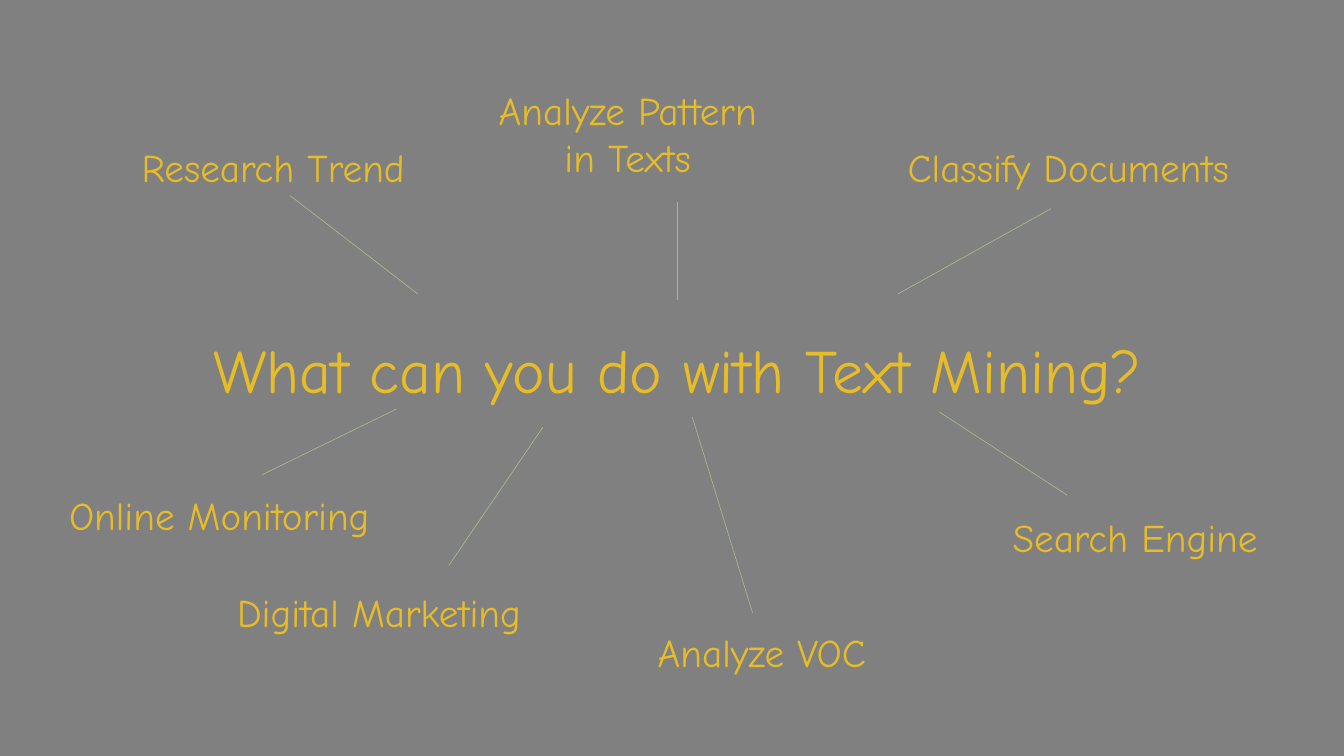
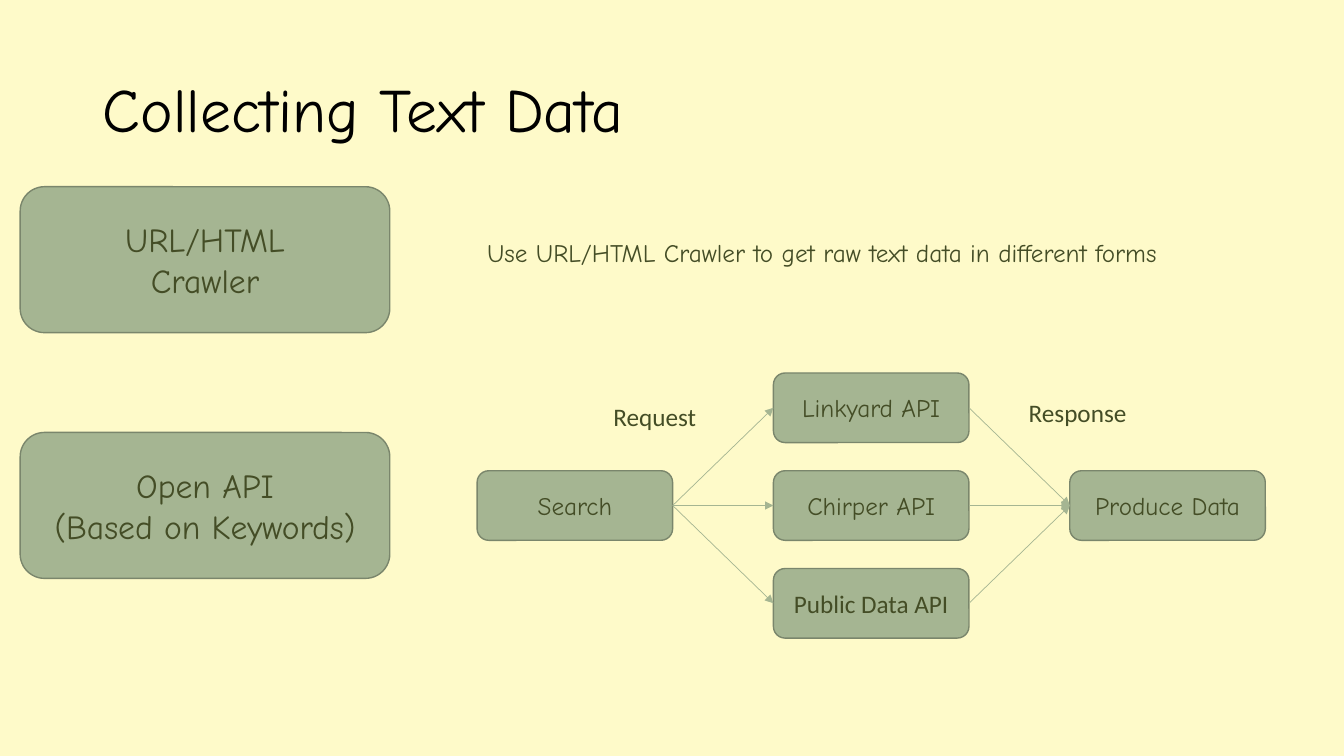
from dataclasses import dataclass

from lxml import etree
from pptx import Presentation
from pptx import util as u
from pptx.dml.color import RGBColor
from pptx.enum import shapes, text
from pptx.oxml import ns


@dataclass(frozen=True)
class Theme:
    gray: str = "808080"
    cream: str = "FEFAC9"
    gold: str = "E7BC29"
    sage: str = "A5B592"
    sage_edge: str = "7A866C"
    olive: str = "444D26"
    black: str = "000000"
    hand: str = "Comic Neue"
    plain: str = "Calibri"
    title: int = 44
    topic: int = 28
    source: int = 24
    label: int = 18
    edge: float = 1
    thin: float = 0.5


theme = Theme()
color = RGBColor.from_string

deck = Presentation()
deck.slide_width, deck.slide_height = u.Inches(13.33), u.Inches(7.5)
title_only = deck.slide_layouts[5]


def span(*shares):
    """Turn alternating percentages of slide width and height into lengths."""
    sides = (deck.slide_width, deck.slide_height) * 2
    return [u.Emu(round(side * share / 100)) for side, share in zip(sides, shares)]


def write(shape, words, size, ink, font=theme.hand, align=text.PP_ALIGN.LEFT,
          anchor=text.MSO_ANCHOR.MIDDLE, fit=text.MSO_AUTO_SIZE.NONE, spacing=None):
    frame = shape.text_frame
    frame.text = words
    frame.word_wrap = True
    frame.auto_size = fit
    frame.vertical_anchor = anchor
    for para in frame.paragraphs:
        para.alignment = align
        para.line_spacing = spacing
        for run in para.runs:
            run.font.size = u.Pt(size)
            run.font.name = font
            run.font.color.rgb = color(ink)


box_style = dict(anchor=text.MSO_ANCHOR.TOP, fit=text.MSO_AUTO_SIZE.SHAPE_TO_FIT_TEXT)
centre = text.PP_ALIGN.CENTER
straight = shapes.MSO_CONNECTOR.STRAIGHT

# Both slides: background and title
pages = []
for heading, back, ink, align, left, top in [
    ("What can you do with Text Mining?", theme.gray, theme.gold, centre, 7.3, 39.7),
    ("Collecting Text Data", theme.cream, theme.black, text.PP_ALIGN.LEFT, 6.9, 5.3),
]:
    page = deck.slides.add_slide(title_only)
    page.background.fill.solid()
    page.background.fill.fore_color.rgb = color(back)
    title = page.shapes.title
    title.left, title.top, title.width, title.height = span(left, top, 86.3, 19.3)
    write(title, heading, theme.title, ink, align=align, spacing=0.9)
    pages.append(page)
uses, collecting = pages

# Uses of text mining around the question
for words, left, top, width, height, align in [
    ("Research Trend", 9.8, 18.3, 23.6, 7.6, text.PP_ALIGN.LEFT),
    ("Analyze Pattern in Texts", 34.9, 10.7, 23.6, 13.9, centre),
    ("Classify Documents", 66.8, 18.3, 30.4, 7.6, text.PP_ALIGN.LEFT),
    ("Online Monitoring", 4.4, 64.3, 27.8, 7.6, text.PP_ALIGN.LEFT),
    ("Digital Marketing", 16.9, 77.2, 28.2, 7.6, text.PP_ALIGN.LEFT),
    ("Analyze VOC", 48.2, 82.4, 23.6, 7.6, text.PP_ALIGN.LEFT),
    ("Search Engine", 74.6, 67.2, 23.6, 7.6, text.PP_ALIGN.LEFT),
]:
    box = uses.shapes.add_textbox(*span(left, top, width, height))
    write(box, words, theme.topic, theme.gold, align=align, **box_style)

spokes = [
    uses.shapes.add_connector(straight, *span(*ends))
    for ends in [
        (31.1, 38.9, 21.6, 25.9),
        (50.4, 39.7, 50.4, 26.7),
        (79.4, 65.5, 69.9, 54.5),
        (66.8, 38.9, 78.2, 27.6),
        (56, 81.1, 51.5, 55.1),
        (19.5, 62.8, 29.5, 54.1),
        (33.4, 74.8, 40.4, 56.5),
    ]
]

# Two ways of collecting, and the request flow on a grid of three columns and rows
flow_left, flow_top, column, row = 35.5, 62.27, 22.05, 12.93
flow = [
    ("Search", 0, 1, theme.hand),
    ("Linkyard API", 1, 0, theme.hand),
    ("Chirper API", 1, 1, theme.hand),
    ("Public Data API", 1, 2, theme.plain),
    ("Produce Data", 2, 1, theme.hand),
]
cards = [
    ("URL/HTML\nCrawler", (1.5, 24.7, 27.5, 19.3), theme.source, theme.hand),
    ("Open API\n(Based on Keywords)", (1.5, 57.2, 27.5, 19.3), theme.source, theme.hand),
] + [
    (words, (flow_left + across * column, flow_top + (down - 1) * row, 14.55, 9.2),
     theme.label, font)
    for words, across, down, font in flow
]
drawn = []
for words, area, size, font in cards:
    card = collecting.shapes.add_shape(shapes.MSO_SHAPE.ROUNDED_RECTANGLE, *span(*area))
    card.shadow.inherit = False
    card.fill.solid()
    card.fill.fore_color.rgb = color(theme.sage)
    card.line.color.rgb = color(theme.sage_edge)
    card.line.width = u.Pt(theme.edge)
    write(card, words, size, theme.olive, font=font, align=centre)
    drawn.append(card)

search, *services, produce = drawn[2:]
left_side, right_side = 1, 3
arrows = []
for start, end in [(search, api) for api in services] + [(api, produce) for api in services]:
    arrow = collecting.shapes.add_connector(straight, 0, 0, 0, 0)
    arrow.begin_connect(start, right_side)
    arrow.end_connect(end, left_side)
    arrows.append(arrow)

for words, left, top, width, font in [
    ("Request", 44.9, 52.4, 10.2, theme.plain),
    ("Response", 75.8, 51.9, 10.2, theme.plain),
    ("Use URL/HTML Crawler to get raw text data in different forms",
     flow_left, 30.8, 60.5, theme.hand),
]:
    box = collecting.shapes.add_textbox(*span(left, top, width, 5.3))
    write(box, words, theme.label, theme.olive, font=font, **box_style)

# Line style of both slides
for line in spokes + arrows:
    line.line.color.rgb = color(theme.sage)
    line.line.width = u.Pt(theme.thin)
    etree.SubElement(line._element.spPr, ns.qn("a:effectLst"))
for arrow in arrows:
    outline = arrow.line._get_or_add_ln()
    etree.SubElement(outline, ns.qn("a:tailEnd"), type="triangle")

deck.save("out.pptx")
